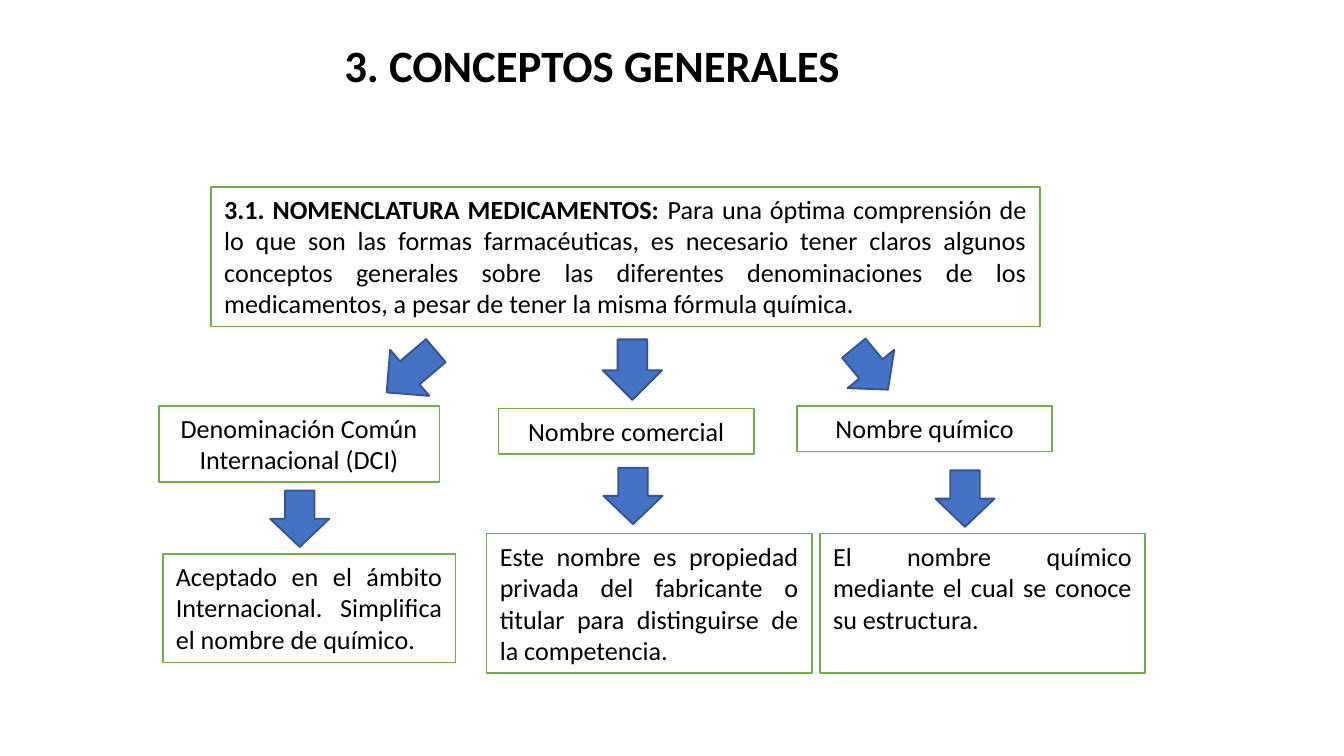
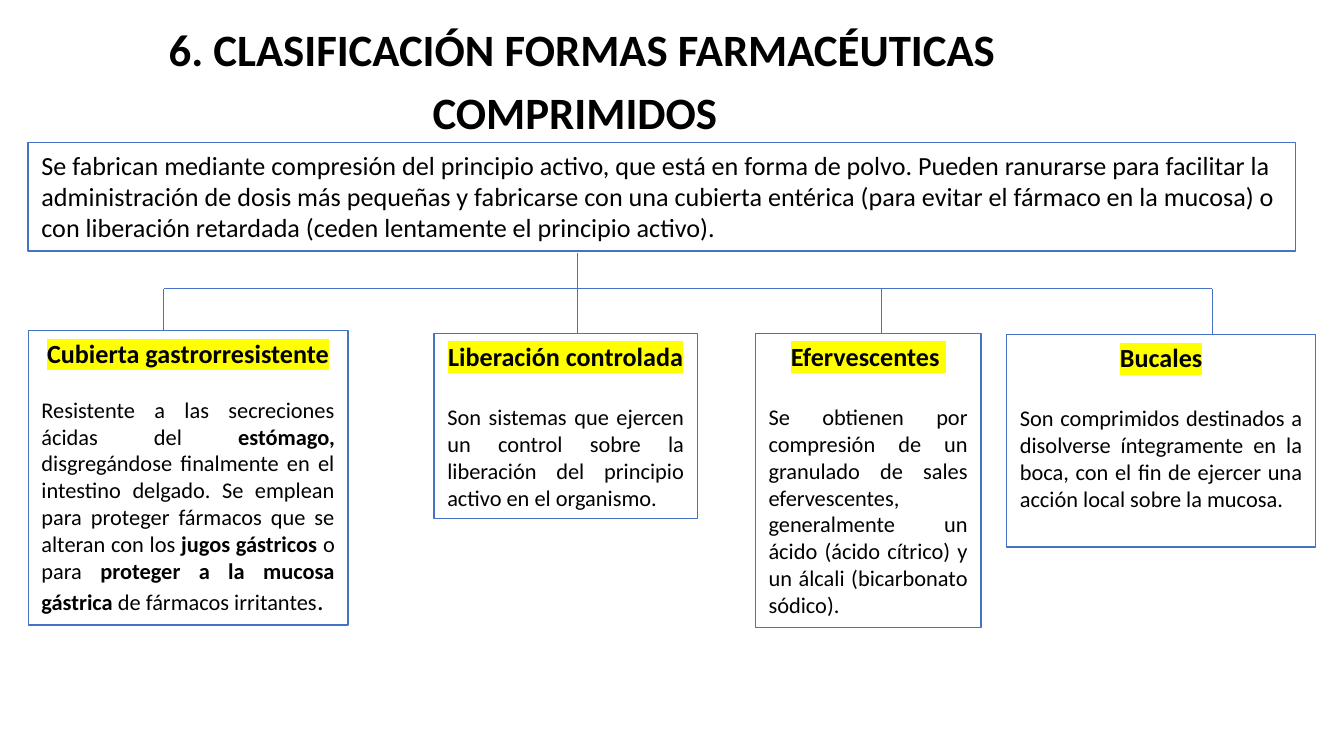
import pptx
import pptx.dml.color
import pptx.enum.shapes
import pptx.enum.text
import pptx.oxml
import pptx.oxml.ns
import pptx.util
from pptx.util import Inches

COLORS = {
    "text": "000000",
    "paper": "FFFFFF",
    "green": "70AD47",
    "blue": "4472C4",
    "dark_blue": "325491",
    "marker": "FFFF00",
}
FONT = "Calibri"
ALIGN = pptx.enum.text.PP_ALIGN
SHAPE = pptx.enum.shapes.MSO_SHAPE
SLIDE_WIDTH = 10
SLIDE_HEIGHT = SLIDE_WIDTH * 9 / 16

# Boxes are (left, top, width, height); text is a list of (text, bold) runs.
CONCEPTS_TITLE = ("3. CONCEPTOS GENERALES", (1.07, 0.07, 6.67, 0.61))
NOMENCLATURE = (
    [("3.1. NOMENCLATURA MEDICAMENTOS: ", True),
     ("Para una óptima comprensión de lo que son las formas farmacéuticas, es necesario "
      "tener claros algunos conceptos generales sobre las diferentes denominaciones de los "
      "medicamentos, a pesar de tener la misma fórmula química. ", False)],
    (1.57, 1.39, 6.17, 1.04),
)
NAMES = [
    {"name": "Denominación Común Internacional (DCI)", "name_box": (1.18, 3.02, 2.09, 0.57),
     "meaning": "Aceptado en el ámbito Internacional. Simplifica el nombre de químico.",
     "meaning_box": (1.21, 4.12, 2.18, 0.81)},
    {"name": "Nombre comercial", "name_box": (3.71, 3.04, 1.9, 0.34),
     "meaning": "Este nombre es propiedad privada del fabricante o titular para "
                "distinguirse de la competencia. ",
     "meaning_box": (3.62, 3.97, 2.42, 1.04)},
    {"name": "Nombre químico", "name_box": (5.93, 3.02, 1.9, 0.34),
     "meaning": "El nombre químico mediante el cual se conoce su estructura.",
     "meaning_box": (6.1, 3.97, 2.42, 1.04)},
]
# (box before rotation, rotation)
ARROWS = [
    ((2.82, 2.54, 0.48, 0.45), 139.6),
    ((4.48, 2.53, 0.45, 0.44), 90),
    ((6.28, 2.52, 0.4, 0.45), 50.5),
    ((2.02, 3.64, 0.42, 0.44), 90),
    ((4.5, 3.47, 0.42, 0.44), 90),
    ((6.97, 3.49, 0.42, 0.44), 90),
]

FORMS_TITLE = ("6. CLASIFICACIÓN FORMAS FARMACÉUTICAS", (0.37, 0.11, 7.92, 0.5))
TABLETS_HEADING = ("COMPRIMIDOS", (3.12, 0.58, 2.35, 0.5))
TABLETS = (
    "Se fabrican mediante compresión del principio activo, que está en forma de polvo. Pueden "
    "ranurarse para facilitar la administración de dosis más pequeñas y fabricarse con una "
    "cubierta entérica (para evitar el fármaco en la mucosa) o con liberación retardada (ceden "
    "lentamente el principio activo).",
    (0.21, 1.06, 9.43, 0.81),
)
TRUNK_X, TRUNK_TOP, BRANCH_Y = 4.3, 1.88, 2.15
TABLET_TYPES = [
    {"name": "Cubierta gastrorresistente", "box": (0.21, 2.46, 2.38, 2.19),
     "branch_x": 1.22, "gap": 14.6, "closing": ".",
     "runs": [("Resistente a las secreciones ácidas del ", False),
              ("estómago, ", True),
              ("disgregándose finalmente en el intestino delgado. Se emplean para proteger "
               "fármacos que se alteran con los ", False),
              ("jugos gástricos ", True),
              ("o para ", False),
              ("proteger a la mucosa gástrica", True),
              (" de fármacos irritantes", False)]},
    {"name": "Liberación controlada", "box": (3.23, 2.48, 1.96, 1.38),
     "branch_x": TRUNK_X, "gap": 17,
     "runs": [("Son sistemas que ejercen un control sobre la liberación del principio activo "
               "en el organismo.", False)]},
    {"name": "Efervescentes ", "box": (5.62, 2.48, 1.68, 2.19),
     "branch_x": 6.56, "gap": 17,
     "runs": [("Se obtienen por compresión de un granulado de sales efervescentes, "
               "generalmente un ácido (ácido cítrico) y un álcali (bicarbonato sódico).",
               False)]},
    {"name": "Bucales", "box": (7.49, 2.49, 2.3, 1.58),
     "branch_x": 9.02, "gap": 17,
     "runs": [("Son comprimidos destinados a disolverse íntegramente en la boca, con el fin "
               "de ejercer una acción local sobre la mucosa. ", False)]},
]


def rgb(name):
    return pptx.dml.color.RGBColor.from_string(COLORS[name])


def inches(box):
    return [Inches(length) for length in box]


def write(paragraph, runs, size, align):
    """Fill a paragraph; bold goes on the paragraph when all runs share it."""
    for text, _ in runs:
        paragraph.add_run().text = text
    paragraph.alignment = align
    font = paragraph.font
    font.name, font.size = FONT, pptx.util.Pt(size)
    font.color.rgb = rgb("text")
    weights = {bold for _, bold in runs}
    if len(weights) == 1:
        font.bold = weights.pop()
    else:
        for run, (_, bold) in zip(paragraph.runs, runs):
            run.font.bold = bold


def prepare_frame(shape):
    frame = shape.text_frame
    frame.word_wrap = True
    frame.auto_size = pptx.enum.text.MSO_AUTO_SIZE.NONE
    frame.vertical_anchor = pptx.enum.text.MSO_ANCHOR.TOP
    return frame


def add_titled_slide(deck, title, box):
    slide = deck.slides.add_slide(deck.slide_layouts[5])
    heading = slide.shapes.title
    heading.left, heading.top, heading.width, heading.height = inches(box)
    write(prepare_frame(heading).paragraphs[0], [(title, True)], 24, ALIGN.CENTER)
    return slide


def add_figure(slide, kind, box, fill, line, width=1):
    figure = slide.shapes.add_shape(kind, *inches(box))
    figure.shadow.inherit = False
    if fill:
        figure.fill.solid()
        figure.fill.fore_color.rgb = rgb(fill)
    else:
        figure.fill.background()
    figure.line.color.rgb = rgb(line)
    figure.line.width = pptx.util.Pt(width)
    return figure


def add_text_panel(slide, box, runs, align, line):
    panel = add_figure(slide, SHAPE.RECTANGLE, box, "paper", line)
    write(prepare_frame(panel).paragraphs[0], runs, 14, align)


def add_line(slide, x1, y1, x2, y2):
    line = slide.shapes.add_connector(
        pptx.enum.shapes.MSO_CONNECTOR.STRAIGHT, *inches((x1, y1, x2, y2)))
    line.line.color.rgb = rgb("blue")
    line.line.width = pptx.util.Pt(0.5)
    line._element.spPr.append(pptx.oxml.parse_xml(
        f'<a:effectLst {pptx.oxml.ns.nsdecls("a")}/>'))


def highlight(run):
    run._r.get_or_add_rPr().append(pptx.oxml.parse_xml(
        f'<a:highlight {pptx.oxml.ns.nsdecls("a")}>'
        f'<a:srgbClr val="{COLORS["marker"]}"/></a:highlight>'))


def add_tablet_type(slide, tablet):
    panel = add_figure(slide, SHAPE.RECTANGLE, tablet["box"], None, "blue", 0.75)
    frame = prepare_frame(panel)
    name = frame.paragraphs[0]
    write(name, [(tablet["name"], True)], 14, ALIGN.CENTER)
    highlight(name.runs[0])
    description = frame.add_paragraph()
    description.space_before = pptx.util.Pt(tablet["gap"])
    write(description, tablet["runs"], 12, ALIGN.JUSTIFY)
    if "closing" in tablet:
        closing = description.add_run()
        closing.text = tablet["closing"]
        closing.font.size = pptx.util.Pt(14)


def build_concepts(deck):
    slide = add_titled_slide(deck, *CONCEPTS_TITLE)
    slide.shapes.title.text_frame.paragraphs[0].line_spacing = 1.4
    runs, box = NOMENCLATURE
    add_text_panel(slide, box, runs, ALIGN.JUSTIFY, "green")
    for box, rotation in ARROWS:
        arrow = add_figure(slide, SHAPE.RIGHT_ARROW, box, "blue", "dark_blue")
        arrow.rotation = rotation
    for entry in NAMES:
        add_text_panel(slide, entry["name_box"], [(entry["name"], False)],
                       ALIGN.CENTER, "green")
        add_text_panel(slide, entry["meaning_box"], [(entry["meaning"], False)],
                       ALIGN.JUSTIFY, "green")


def build_forms(deck):
    slide = add_titled_slide(deck, *FORMS_TITLE)
    text, box = TABLETS_HEADING
    heading = slide.shapes.add_textbox(*inches(box))
    write(prepare_frame(heading).paragraphs[0], [(text, True)], 24, ALIGN.LEFT)
    text, box = TABLETS
    add_text_panel(slide, box, [(text, False)], ALIGN.LEFT, "blue")

    add_line(slide, TRUNK_X, TRUNK_TOP, TRUNK_X, BRANCH_Y)
    branches = [tablet["branch_x"] for tablet in TABLET_TYPES]
    add_line(slide, branches[0], BRANCH_Y, branches[-1], BRANCH_Y)
    for tablet in TABLET_TYPES:
        add_line(slide, tablet["branch_x"], BRANCH_Y, tablet["branch_x"], tablet["box"][1])
        add_tablet_type(slide, tablet)


def main():
    deck = pptx.Presentation()
    deck.slide_width = Inches(SLIDE_WIDTH)
    deck.slide_height = Inches(SLIDE_HEIGHT)
    build_concepts(deck)
    build_forms(deck)
    deck.save("out.pptx")


if __name__ == "__main__":
    main()
